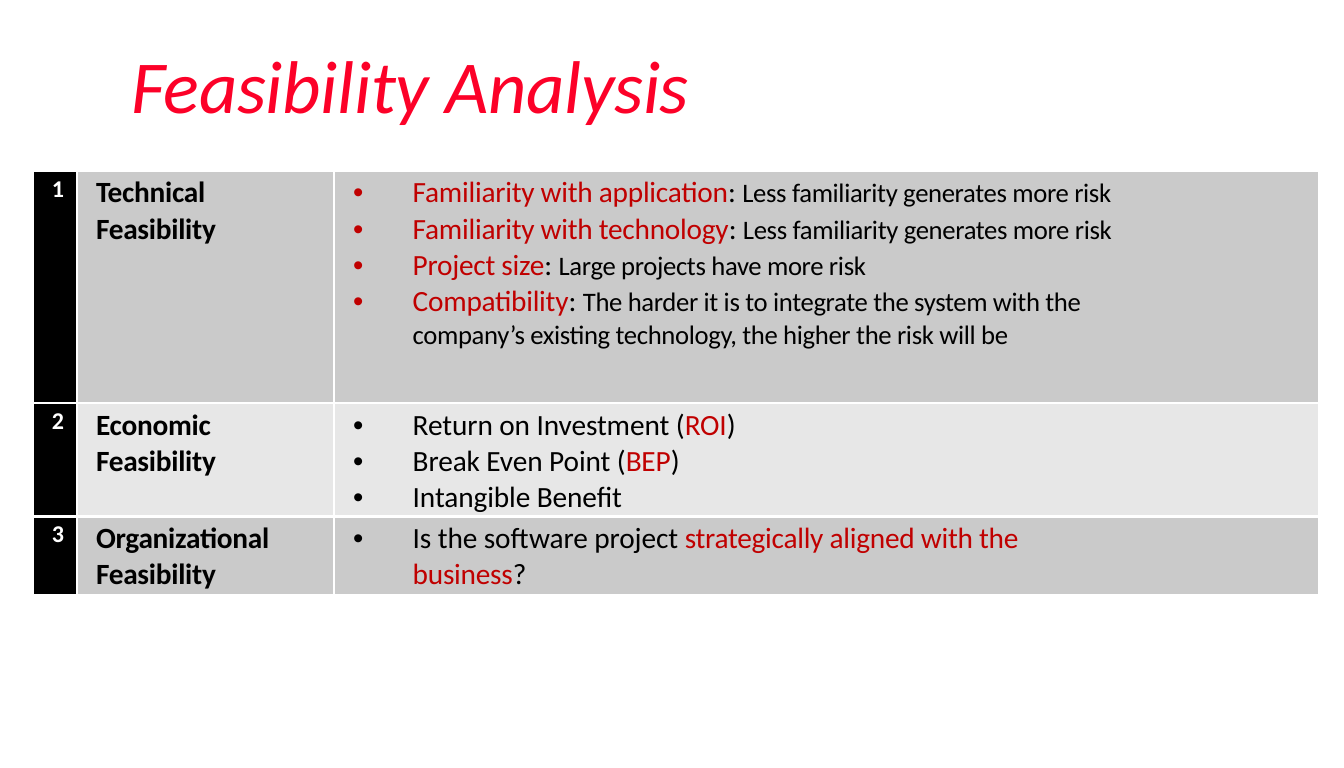
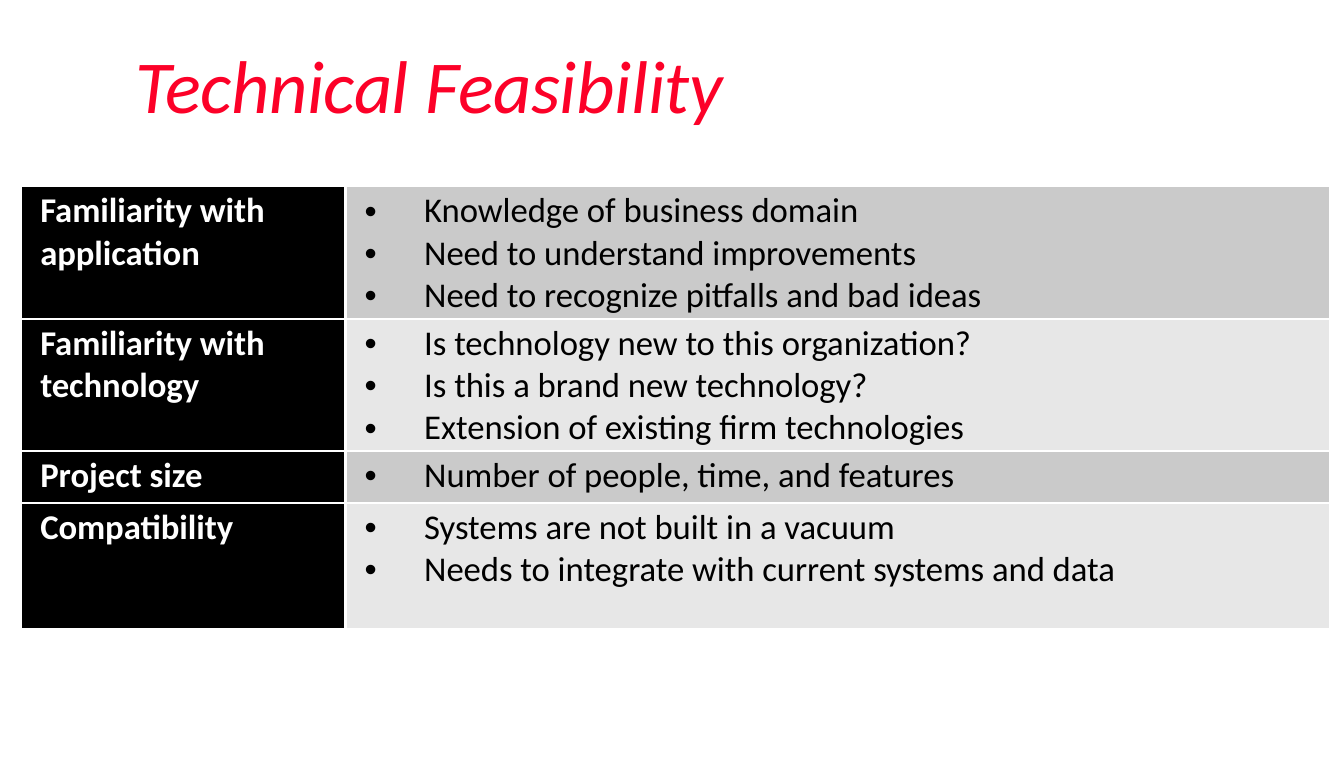
from lxml import etree
from pptx import Presentation
from pptx.dml.color import RGBColor
from pptx.enum import text
from pptx.oxml import ns
from pptx.util import Inches, Pt

FONT = "Calibri"
TITLE_RED, TERM_RED = "FC0128", "C00000"
BLACK, WHITE = "000000", "FFFFFF"
BANDS = ["CACACA", "E7E7E7"]


def hex_color(value):
    return RGBColor.from_string(value)


def add_run(paragraph, words, size, color=BLACK, bold=False, italic=False, spacing=0):
    run = paragraph.add_run()
    run.text = words
    font = run.font
    font.name, font.size, font.bold, font.italic = FONT, Pt(size), bold, italic
    font.color.rgb = hex_color(color)
    run._r.get_or_add_rPr().set("spc", str(round(spacing * 100)))


# Run formats of the bullet column
FORMATS = {
    "plain": dict(size=11, spacing=-0.05),
    "term": dict(size=11, color=TERM_RED, spacing=-0.1),
    "colon": dict(size=11, spacing=-0.1),
    "note": dict(size=10, spacing=-0.1),
    "large": dict(size=13),
}


# Each cell is a list of paragraphs, each paragraph a list of (words, format);
# a paragraph that starts with None continues the bullet above it
less_risk = ("Less familiarity generates more risk", "note")
colon = (": ", "colon")
technical = [
    [("Familiarity with application", "term"), colon, less_risk],
    [("Familiarity with technology", "term"), colon, less_risk],
    [("Project size", "term"), colon, ("Large projects have more risk", "note")],
    [("Compatibility", "term"), colon,
     ("The harder it is to integrate the system with the", "note")],
    [None, ("company’s existing technology, the higher the risk will be", "note")],
]
economic = [
    [("Return on Investment (", "plain"), ("ROI", "term"), (")", "plain")],
    [("Break Even Point (", "plain"), ("BEP", "term"), (")", "plain")],
    [("Intangible Benefit", "plain")],
]
organizational = [
    [("Is the software project ", "plain"), ("strategically aligned with the", "term")],
    [None, ("business", "term"), ("?", "plain")],
]
factors = {
    "Familiarity with application": [
        "Knowledge of business domain",
        "Need to understand improvements",
        "Need to recognize pitfalls and bad ideas",
    ],
    "Familiarity with technology": [
        "Is technology new to this organization?",
        "Is this a brand new technology?",
        "Extension of existing firm technologies",
    ],
    "Project size": ["Number of people, time, and features"],
    "Compatibility": [
        "Systems are not built in a vacuum",
        "Needs to integrate with current systems and data",
    ],
}

# Formats of the columns in front of the bullets
number = dict(size=9, color=WHITE, bold=True)
label = dict(size=11, bold=True, spacing=-0.1)
factor = dict(size=13, color=WHITE, bold=True)

pages = [
    dict(
        title="Feasibility Analysis", title_width=3.19, title_spacing=-0.1,
        left=0.17, top=0.89, columns=[0.23, 1.34, 5.13], rows=[1.21, 0.59, 0.41],
        space_before=2.4,
        content=[
            [[[(str(position), number)]], [[(name, label)], [("Feasibility", label)]], bullets]
            for position, (name, bullets) in enumerate(
                [("Technical", technical), ("Economic", economic),
                 ("Organizational", organizational)], 1)
        ],
    ),
    dict(
        title="Technical Feasibility", title_width=3.39, title_spacing=-0.15,
        left=0.11, top=0.97, columns=[1.69, 5.13], rows=[0.69, 0.69, 0.27, 0.66],
        space_before=2.1,
        content=[
            [[[(name, factor)]], [[(line, "large")] for line in lines]]
            for name, lines in factors.items()
        ],
    ),
]

presentation = Presentation()
presentation.slide_width, presentation.slide_height = Inches(7), Inches(4)

for page in pages:
    slide = presentation.slides.add_slide(presentation.slide_layouts[5])

    # Title
    title = slide.shapes.title
    title.left, title.top = Inches(0.54), Inches(0.19)
    title.width, title.height = Inches(page["title_width"]), Inches(0.48)
    frame = title.text_frame
    frame.margin_left = frame.margin_right = frame.margin_bottom = 0
    frame.margin_top = Inches(0.01)
    frame.vertical_anchor = text.MSO_ANCHOR.TOP
    frame.auto_size = text.MSO_AUTO_SIZE.NONE
    frame.word_wrap = True
    paragraph = frame.paragraphs[0]
    paragraph.alignment = text.PP_ALIGN.CENTER
    paragraph.space_before = Pt(0.7)
    add_run(paragraph, page["title"], size=28, color=TITLE_RED, italic=True,
            spacing=page["title_spacing"])

    # Table grid
    columns, rows = page["columns"], page["rows"]
    table = slide.shapes.add_table(
        len(rows), len(columns), Inches(page["left"]), Inches(page["top"]),
        Inches(sum(columns)), Inches(sum(rows))).table
    table.first_row = table.horz_banding = False
    for column, width in zip(table.columns, columns):
        column.width = Inches(width)
    for row, height in zip(table.rows, rows):
        row.height = Inches(height)

    for row_index, cells in enumerate(page["content"]):
        for column_index, paragraphs in enumerate(cells):
            # Cell margins, white borders and fill
            cell = table.cell(row_index, column_index)
            cell.margin_left = cell.margin_right = cell.margin_bottom = 0
            cell.margin_top = Inches(0.02)
            properties = cell._tc.get_or_add_tcPr()
            for side in ("a:lnL", "a:lnR", "a:lnT", "a:lnB"):
                border = etree.SubElement(properties, ns.qn(side), w=str(Pt(1)))
                fill = etree.SubElement(border, ns.qn("a:solidFill"))
                etree.SubElement(fill, ns.qn("a:srgbClr"), val=WHITE)
            cell.fill.solid()
            cell.fill.fore_color.rgb = hex_color(
                BLACK if column_index == 0 else BANDS[row_index % 2])

            # Cell text
            has_bullets = column_index == len(columns) - 1
            for index, runs in enumerate(paragraphs):
                frame = cell.text_frame
                paragraph = frame.add_paragraph() if index else frame.paragraphs[0]
                paragraph.space_before = Pt(0 if index else page["space_before"])
                layout = paragraph._p.get_or_add_pPr()
                layout.set("marL", str(Inches(0.41 if has_bullets else 0.1)))
                layout.set("indent", "0")
                if has_bullets and runs[0] is not None:
                    layout.set("indent", str(Inches(-0.31)))
                    etree.SubElement(layout, ns.qn("a:buFont"), typeface="Arial")
                    etree.SubElement(layout, ns.qn("a:buChar"), char="•")
                for words, style in filter(None, runs):
                    add_run(paragraph, words, **(FORMATS[style] if has_bullets else style))

presentation.save("out.pptx")
